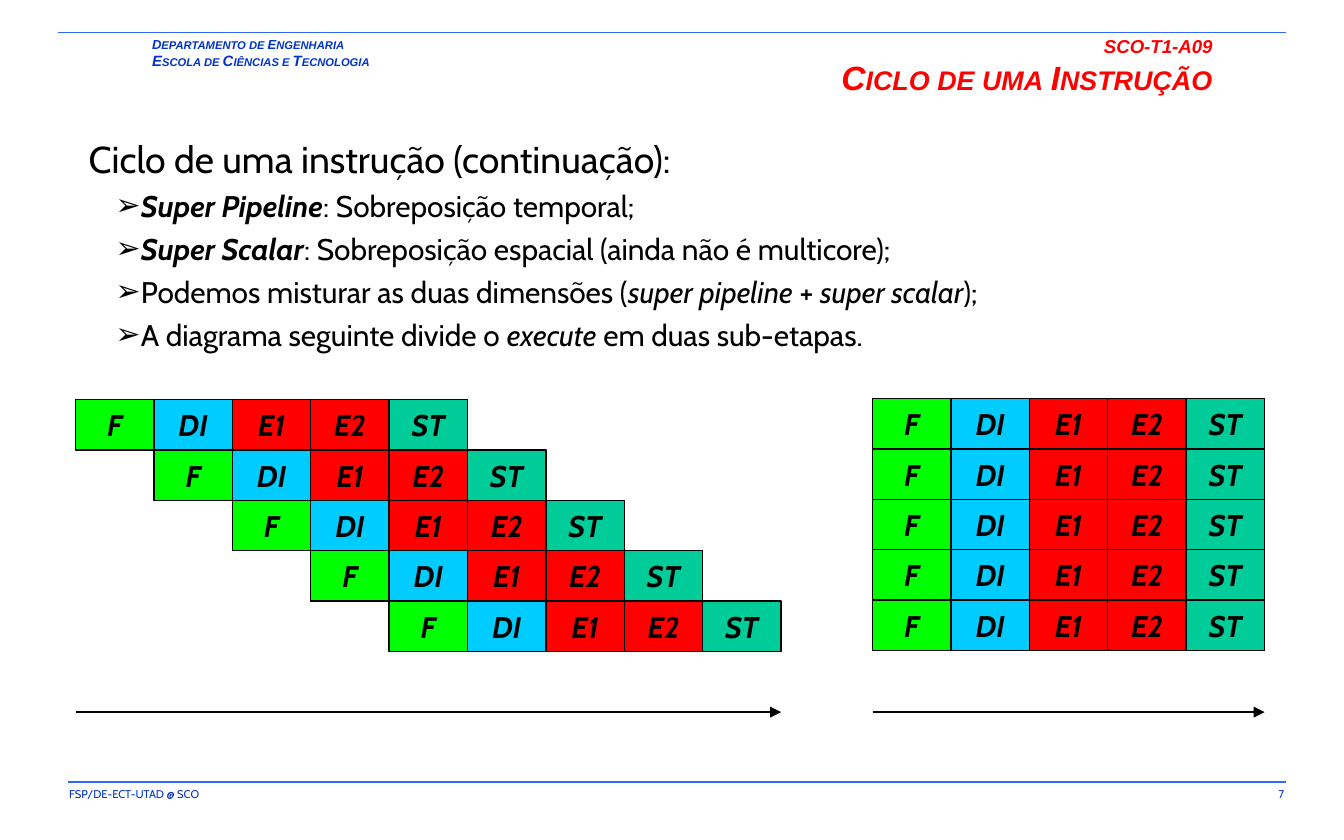
from lxml.etree import SubElement
from pptx import Presentation
from pptx.dml.color import RGBColor
from pptx.enum.shapes import MSO_CONNECTOR, MSO_SHAPE
from pptx.enum.text import MSO_ANCHOR, MSO_AUTO_SIZE, PP_ALIGN
from pptx.oxml.ns import qn
from pptx.util import Pt

PX = 6350  # 144 px to the inch
LEFT, MID, RIGHT, JUST = PP_ALIGN.LEFT, PP_ALIGN.CENTER, PP_ALIGN.RIGHT, PP_ALIGN.JUSTIFY
TOP, CENTRE = MSO_ANCHOR.TOP, MSO_ANCHOR.MIDDLE
FIXED = MSO_AUTO_SIZE.NONE
RECT, LINE = MSO_SHAPE.RECTANGLE, MSO_CONNECTOR.STRAIGHT
HEX = {"blue": "0033CC", "rule": "3366FF", "red": "FF0000", "black": "000000",
       "green": "00FF00", "cyan": "00CCFF", "teal": "00CC99"}
INK = {name: RGBColor.from_string(code) for name, code in HEX.items()}


def write(par, parts, face, ink, align=LEFT):
    """Fill a paragraph with (text, size, style) runs; style holds b and/or i."""
    par.alignment = align
    for text, size, style in parts:
        run = par.add_run()
        run.text = text
        font = run.font
        font.name, font.size = face, Pt(size)
        font.bold, font.italic = "b" in style, "i" in style
        font.color.rgb = INK[ink]


def draw(x1, x2, y, ink, arrow=False):
    """Draw a level line, with an arrowhead at its right end if asked."""
    line = slide.shapes.add_connector(LINE, x1 * PX, y * PX, x2 * PX, y * PX)
    line.line.color.rgb = INK[ink]
    line.line.width = Pt(0.75)
    props = line._element.spPr
    if arrow:
        SubElement(props.find(qn("a:ln")), qn("a:tailEnd"), type="triangle")
    SubElement(props, qn("a:effectLst"))


deck = Presentation()
deck.slide_width, deck.slide_height = 1440 * PX, 900 * PX
slide = deck.slides.add_slide(deck.slide_layouts[1])
title, body = slide.placeholders

# Header and footer rules
draw(62, 1378, 35, "rule")
draw(73, 1378, 838, "rule")

# Department, footer and page number
dept = [[("D", 7, "bi"), ("EPARTAMENTO DE ", 6, "bi"), ("E", 7, "bi"), ("NGENHARIA", 6, "bi")],
        [("E", 8, "bi"), ("SCOLA DE ", 6, "bi"), ("C", 8, "bi"), ("IÊNCIAS E ", 6, "bi"),
         ("T", 8, "bi"), ("ECNOLOGIA", 6, "bi")]]
notes = [((153, 35, 374, 46), (10, 4), dept, "Arial", LEFT),
         ((62, 838, 670, 29), (12, 6), [[("FSP/DE-ECT-UTAD @ SCO", 6, "")]], "Cabin", LEFT),
         ((1208, 838, 180, 30), (12, 6), [[("7", 6, "")]], "Cabin", RIGHT)]
for place, (side, edge), rows, face, align in notes:
    frame = slide.shapes.add_textbox(*[n * PX for n in place]).text_frame
    frame.word_wrap = True
    frame.margin_left = frame.margin_right = side * PX
    frame.margin_top = frame.margin_bottom = edge * PX
    for k, row in enumerate(rows):
        par = frame.add_paragraph() if k else frame.paragraphs[0]
        write(par, row, face, "blue", align)

# Title and body frames
for holder, place, side, edge in [(title, (474, 29, 837, 66), 12, 8),
                                  (body, (85, 132, 1326, 249), 10, 4)]:
    holder.left, holder.top, holder.width, holder.height = [n * PX for n in place]
    frame = holder.text_frame
    frame.auto_size, frame.vertical_anchor = FIXED, TOP
    frame.margin_left = frame.margin_right = side * PX
    frame.margin_top = frame.margin_bottom = edge * PX

# Title
par = title.text_frame.paragraphs[0]
write(par, [("SCO-T1-A09", 10, "bi")], "Arial", "red", RIGHT)
par.add_line_break()
SubElement(par._p.find(qn("a:br")), qn("a:rPr"), sz="1000")
write(par, [("Ciclo de uma Instrução", 18, "bi")], "Arial", "red", RIGHT)
par.runs[1].font._element.set("cap", "small")

# Body list
items = [[("Ciclo de uma instrução (continuação):", 20, "")],
         [("Super Pipeline", 16, "bi"), (": Sobreposição temporal;", 16, "")],
         [("Super Scalar", 16, "bi"),
          (": Sobreposição espacial (ainda não é multicore);", 16, "")],
         [("Podemos misturar as duas dimensões (", 16, ""), ("super pipeline", 16, "i"),
          (" + ", 16, ""), ("super scalar", 16, "i"), (");", 16, "")],
         [("A diagrama seguinte divide o ", 16, ""), ("execute", 16, "i"),
          (" em duas sub-etapas.", 16, "")]]
frame = body.text_frame
for k, item in enumerate(items):
    par = frame.add_paragraph() if k else frame.paragraphs[0]
    write(par, item, "Cabin", "black", JUST if k else LEFT)
    par.level = 1 if k else 0
    par.line_spacing = 1.2
    par.space_before = par.space_after = Pt(0)
    props = par._p.get_or_add_pPr()
    props.set("marL", str(56 * PX if k else 0))
    props.set("indent", str(-27 * PX if k else 0))
    if k:
        SubElement(props, qn("a:buFont"), typeface="Arial")
        SubElement(props, qn("a:buChar"), char="➢")
    else:
        SubElement(props, qn("a:buNone"))

# Pipeline diagrams: left one steps by a stage per row, right one is stacked
stages = [("F", "green"), ("DI", "cyan"), ("E1", "red"), ("E2", "red"), ("ST", "teal")]
wide, high, count = 84, 54, 5
for left, top, step, span in [(81, 428, 1, 9), (935, 427, 0, 5)]:
    for row in range(count):
        for col, (name, ink) in enumerate(stages):
            x, y = left + (col + step * row) * wide, top + row * high
            cell = slide.shapes.add_shape(RECT, x * PX, y * PX, wide * PX, high * PX)
            cell.shadow.inherit = False
            cell.fill.solid()
            cell.fill.fore_color.rgb = INK[ink]
            cell.line.color.rgb = INK["black"]
            cell.line.width = Pt(0.75)
            frame = cell.text_frame
            frame.vertical_anchor = CENTRE
            write(frame.paragraphs[0], [(name, 16, "bi")], "Cabin", "black", MID)
    draw(left, left + span * wide, 763, "black", arrow=True)

deck.save("out.pptx")
